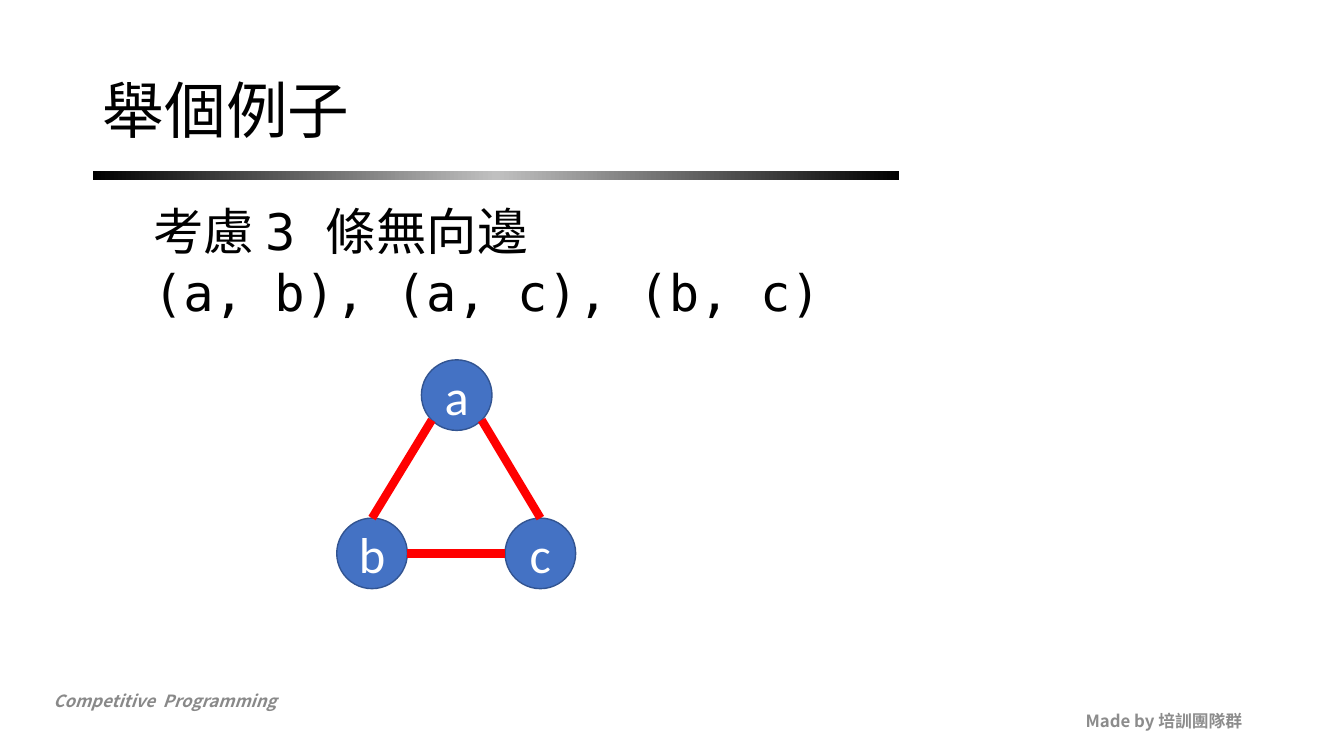
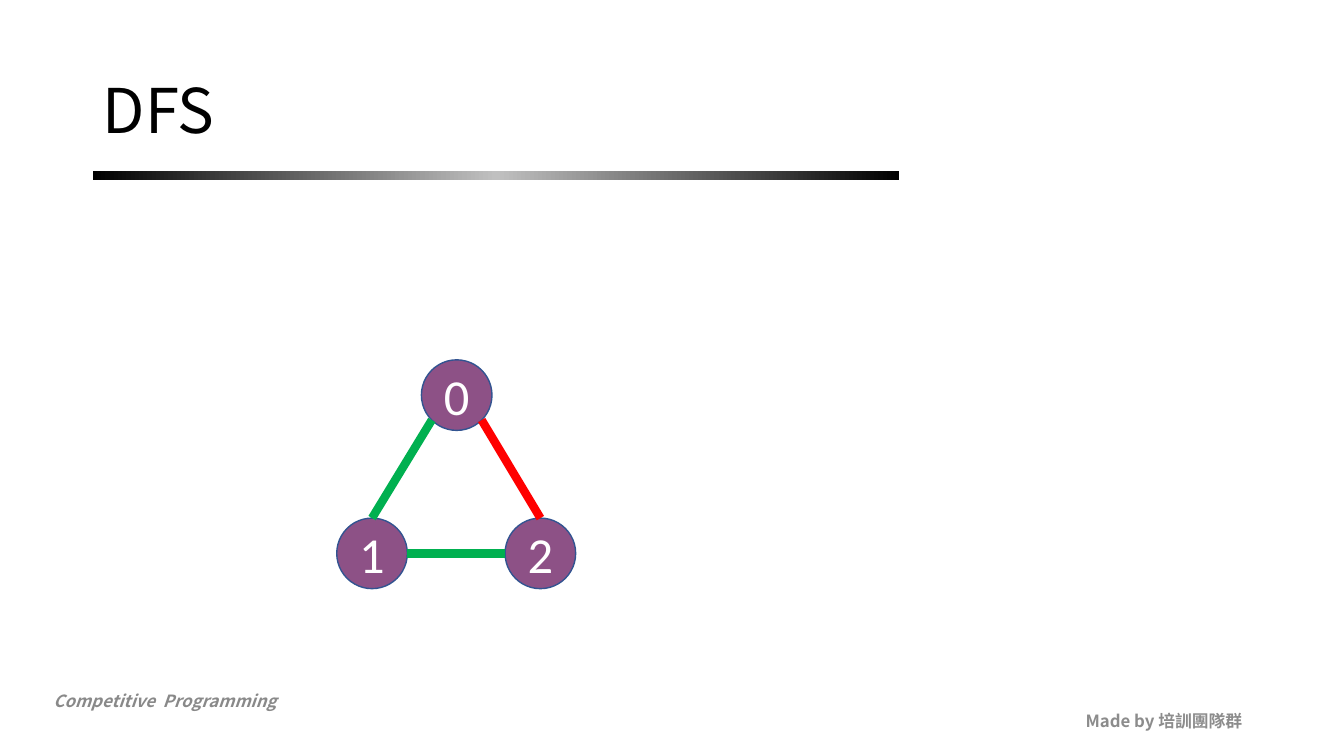
from copy import deepcopy
from math import sqrt

from lxml.etree import SubElement
from pptx import Presentation
from pptx.dml.color import RGBColor
from pptx.enum.shapes import MSO_CONNECTOR as Connector, MSO_SHAPE as Shape
from pptx.enum.text import MSO_ANCHOR as Anchor, MSO_AUTO_SIZE as AutoSize, PP_ALIGN as Align
from pptx.oxml.ns import qn
from pptx.util import Inches, Pt


def rgb(value):
    return RGBColor.from_string(value)


class Deck:
    SANS = "Noto Sans CJK SC"
    MONO = "DejaVu Sans Mono"
    LATIN = "Calibri"
    BLACK, SILVER, WHITE = "000000", "C0C0C0", "FFFFFF"
    BLUE, PURPLE, OUTLINE = "4472C4", "8D5186", "325491"
    RED, GREEN = "FF0000", "00B050"
    MARGIN = 0.92
    RADIUS = 0.35
    APEX, LEFT, RIGHT = (4.53, 3.92), (3.69, 5.49), (5.36, 5.49)

    def __init__(self):
        self.prs = Presentation()
        self.prs.slide_width = Inches(13.33)
        self.prs.slide_height = Inches(7.5)
        self.slide = None

    def new_slide(self, heading):
        self.slide = self.prs.slides.add_slide(self.prs.slide_layouts[5])
        self.footers()
        self.rule()
        self.title(heading)

    def run(self, paragraph, words, size, font, colour, bold=False, italic=False):
        run = paragraph.add_run()
        run.text = words
        run.font.size = Pt(size)
        run.font.name = font
        run.font.bold = bold
        run.font.italic = italic
        run.font.color.rgb = rgb(colour)
        SubElement(run.font._element, qn("a:ea")).set("typeface", self.SANS)

    def text_box(self, left, top, width, height, anchor=Anchor.TOP):
        box = self.slide.shapes.add_textbox(
            Inches(left), Inches(top), Inches(width), Inches(height))
        box.text_frame.word_wrap = True
        box.text_frame.vertical_anchor = anchor
        return box.text_frame

    def footers(self):
        course = self.text_box(0.43, 6.8, 4.25, 0.3)
        self.run(course.paragraphs[0], "Competitive  Programming", 12, self.SANS,
                 "898989", bold=True, italic=True)
        author = self.text_box(9.42, 6.95, 3, 0.4, Anchor.MIDDLE).paragraphs[0]
        author.alignment = Align.RIGHT
        self.run(author, "Made by 培訓團隊群", 12, self.SANS, "8C8C8C", bold=True)

    def rule(self):
        bar = self.slide.shapes.add_shape(
            Shape.RECTANGLE, Inches(self.MARGIN), Inches(1.7), Inches(8), Inches(0.09))
        bar.shadow.inherit = False
        bar.line.fill.background()
        bar.fill.gradient()
        bar.fill.gradient_angle = 0
        stops = bar._element.spPr.find(qn("a:gradFill")).find(qn("a:gsLst"))
        stops.append(deepcopy(stops[-1]))
        colours = (self.BLACK, self.SILVER, self.BLACK)
        for index, (stop, colour) in enumerate(zip(bar.fill.gradient_stops, colours)):
            stop.position = index / 2
            stop.color.rgb = rgb(colour)

    def title(self, heading):
        title = self.slide.shapes.title
        title.left, title.top = Inches(self.MARGIN), Inches(0.4)
        title.width, title.height = Inches(11.5), Inches(1.45)
        frame = title.text_frame
        frame.auto_size = AutoSize.NONE
        frame.vertical_anchor = Anchor.MIDDLE
        paragraph = frame.paragraphs[0]
        paragraph.alignment = Align.LEFT
        paragraph.line_spacing = 0.9
        self.run(paragraph, heading, 44, self.SANS, self.BLACK)

    def body(self, lines):
        frame = self.text_box(self.MARGIN, 2, 11.5, 4.76)
        for index, line in enumerate(lines):
            paragraph = frame.add_paragraph() if index else frame.paragraphs[0]
            paragraph._p.get_or_add_pPr().set("marL", str(Inches(0.5)))
            paragraph.line_spacing = 0.9
            paragraph.space_before = Pt(5)
            self.run(paragraph, line, 36, self.MONO, self.BLACK)

    def node(self, label, centre, colour):
        x, y = centre
        node = self.slide.shapes.add_shape(
            Shape.OVAL, Inches(x - self.RADIUS), Inches(y - self.RADIUS),
            Inches(2 * self.RADIUS), Inches(2 * self.RADIUS))
        node.shadow.inherit = False
        node.fill.solid()
        node.fill.fore_color.rgb = rgb(colour)
        node.line.color.rgb = rgb(self.OUTLINE)
        node.line.width = Pt(1)
        node.text_frame.vertical_anchor = Anchor.MIDDLE
        paragraph = node.text_frame.paragraphs[0]
        paragraph.alignment = Align.CENTER
        self.run(paragraph, label, 36, self.LATIN, self.WHITE)

    def edge(self, start, end, colour):
        edge = self.slide.shapes.add_connector(
            Connector.STRAIGHT, *(Inches(value) for value in (*start, *end)))
        edge.line.color.rgb = rgb(colour)
        edge.line.width = Pt(6)
        SubElement(edge._element.spPr, qn("a:effectLst"))

    def triangle(self, labels, node_colour, edge_colours):
        for label, centre in zip(labels, (self.APEX, self.LEFT, self.RIGHT)):
            self.node(label, centre, node_colour)
        (ax, ay), (lx, ly), (rx, ry) = self.APEX, self.LEFT, self.RIGHT
        radius, diagonal = self.RADIUS, self.RADIUS / sqrt(2)
        ends = (
            ((ax - diagonal, ay + diagonal), (lx, ly - radius)),
            ((ax + diagonal, ay + diagonal), (rx, ry - radius)),
            ((lx + radius, ly), (rx - radius, ry)),
        )
        for (start, end), colour in zip(ends, edge_colours):
            self.edge(start, end, colour)


def main():
    deck = Deck()
    deck.new_slide("舉個例子")
    deck.body(["考慮 3 條無向邊", "(a, b), (a, c), (b, c)"])
    deck.triangle("abc", deck.BLUE, [deck.RED] * 3)

    deck.new_slide("DFS")
    deck.triangle("012", deck.PURPLE, [deck.GREEN, deck.RED, deck.GREEN])
    deck.prs.save("out.pptx")


if __name__ == "__main__":
    main()
